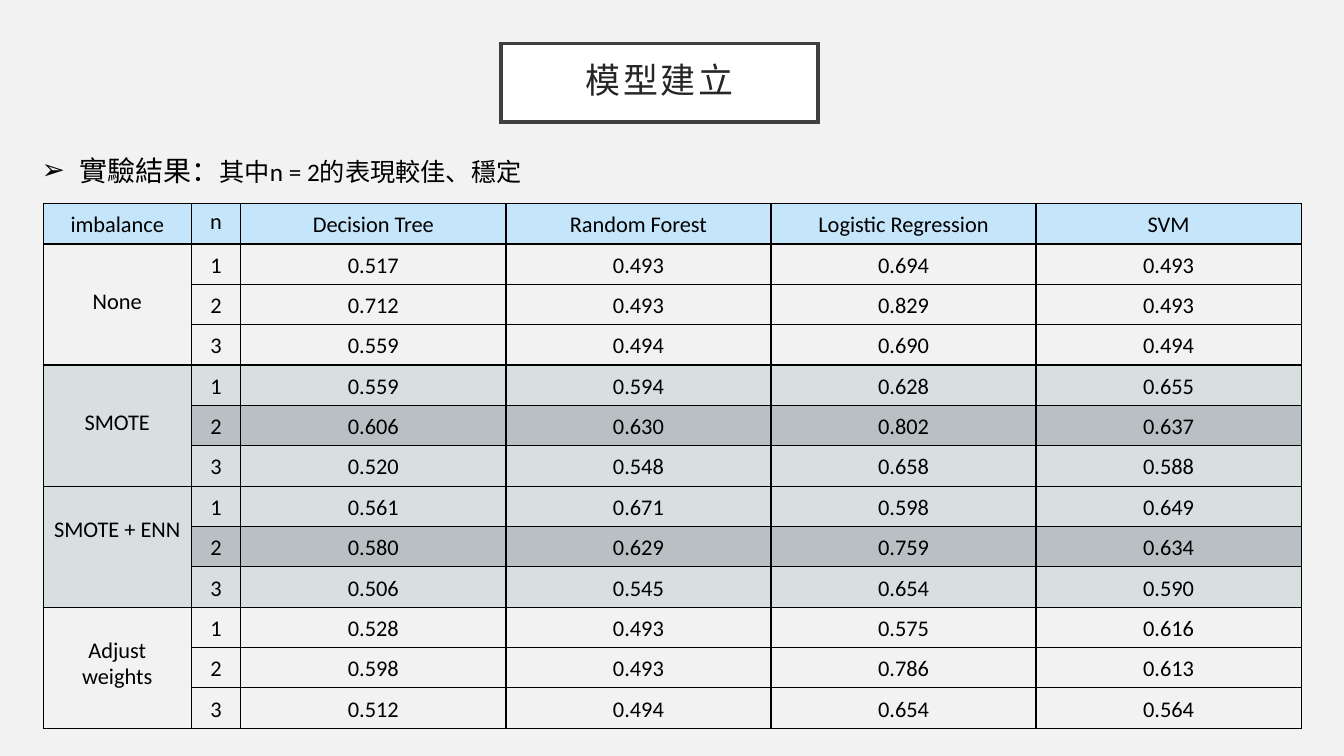
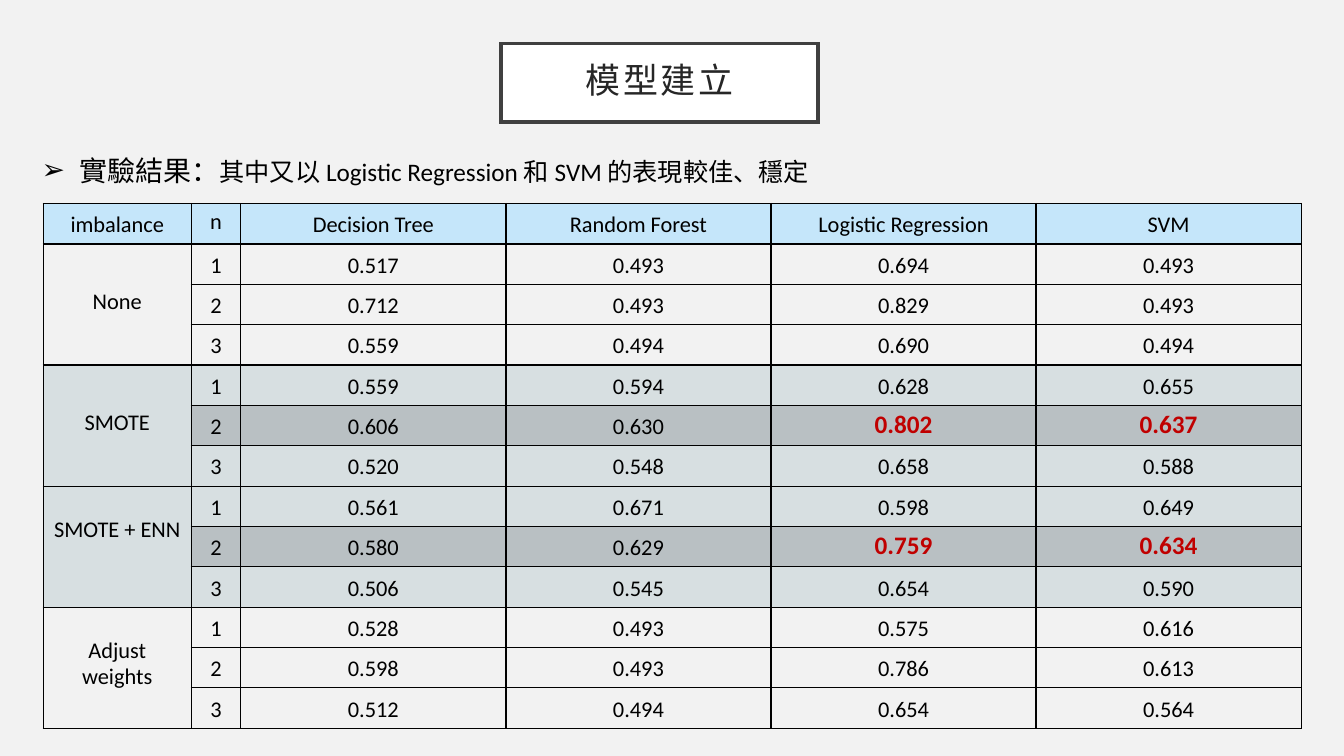
from lxml.etree import SubElement
from pptx import Presentation
from pptx.dml.color import RGBColor
from pptx.enum.text import MSO_ANCHOR, MSO_AUTO_SIZE, PP_ALIGN
from pptx.oxml.ns import qn
from pptx.util import Cm, Pt

FONT = "Calibri"
HEADS = ["imbalance", "n", "Decision Tree", "Random Forest",
         "Logistic Regression", "SVM"]
# Method, shaded or not, line height in points, scores for n = 1, 2, 3
GROUPS = [
    ("None", False, 23.6, ["0.517 0.493 0.694 0.493",
                           "0.712 0.493 0.829 0.493",
                           "0.559 0.494 0.690 0.494"]),
    ("SMOTE", True, 23.6, ["0.559 0.594 0.628 0.655",
                           "0.606 0.630 0.802 0.637",
                           "0.520 0.548 0.658 0.588"]),
    ("SMOTE + ENN", True, 18.6, ["0.561 0.671 0.598 0.649",
                                 "0.580 0.629 0.759 0.634",
                                 "0.506 0.545 0.654 0.590"]),
    ("Adjust weights", False, 18.6, ["0.528 0.493 0.575 0.616",
                                     "0.598 0.493 0.786 0.613",
                                     "0.512 0.494 0.654 0.564"]),
]
SIZE = 3  # rows in a group
BEST = 2  # the n that stands out
WIDTHS = [3.73, 1.25] + [6.68] * 4


def tint(code):
    return RGBColor.from_string(code)


def write(par, text, size=16, color="000000", bold=False, track=0):
    """Add a run to a paragraph; track is letter spacing in points."""
    run = par.add_run()
    run.text = text
    font = run.font
    font.name = FONT
    font.size = Pt(size)
    font.bold = bold
    font.color.rgb = tint(color)
    if track:
        run._r.get_or_add_rPr().set("spc", str(track * 100))


class Deck:
    back = "F2F2F2"
    white = "FFFFFF"
    frame = "404040"
    ink = "262626"
    black = "000000"
    blue = "C5E6FA"
    pale = "D7DFE1"
    gray = "B9C0C3"
    red = "C00000"

    def __init__(self):
        self.show = Presentation()
        self.show.slide_width = Cm(33.87)
        self.show.slide_height = Cm(19.05)
        fill = self.show.slide_master.background.fill
        fill.solid()
        fill.fore_color.rgb = tint(self.back)
        self.slide = None

    def start(self, text):
        """Open a new slide with a framed title."""
        self.slide = self.show.slides.add_slide(self.show.slide_layouts[5])
        box = self.slide.shapes.title
        box.left, box.top = Cm(12.62), Cm(1.09)
        box.width, box.height = Cm(8), Cm(1.98)
        box.fill.solid()
        box.fill.fore_color.rgb = tint(self.white)
        box.line.color.rgb = tint(self.frame)
        box.line.width = Pt(2.5)
        SubElement(box.line._get_or_add_ln(), qn("a:miter"), lim="800000")
        frame = box.text_frame
        frame.auto_size = MSO_AUTO_SIZE.NONE
        frame.vertical_anchor = MSO_ANCHOR.MIDDLE
        frame.margin_left = frame.margin_right = Cm(0.51)
        frame.margin_top = frame.margin_bottom = Cm(0.51)
        par = frame.paragraphs[0]
        par.alignment = PP_ALIGN.CENTER
        par.line_spacing = 0.9
        write(par, text, size=25, color=self.ink, track=2)

    def point(self, lead, text):
        """Add the arrow-bulleted line above the table."""
        box = self.slide.shapes.add_textbox(Cm(0.8), Cm(3.43),
                                            Cm(30), Cm(1.3))
        frame = box.text_frame
        frame.word_wrap = True
        par = frame.paragraphs[0]
        par.line_spacing = Pt(33)
        props = par._p.get_or_add_pPr()
        props.set("marL", str(Cm(0.95)))
        props.set("indent", str(-Cm(0.95)))
        SubElement(props, qn("a:buFont"), typeface=FONT)
        SubElement(props, qn("a:buChar"), char="➢")
        write(par, lead, size=20)
        write(par, text, size=18)

    def edge(self, cell):
        """Rule all four sides of a cell."""
        props = cell._tc.get_or_add_tcPr()
        for side in ("lnL", "lnR", "lnT", "lnB"):
            line = SubElement(props, qn(f"a:{side}"), w=str(Pt(1)))
            fill = SubElement(line, qn("a:solidFill"))
            SubElement(fill, qn("a:srgbClr"), val=self.black)

    def cell(self, cell, text, fill=None, lead=21.6, **form):
        """Fill in a cell; lead is the line height in points, or None."""
        if fill:
            cell.fill.solid()
            cell.fill.fore_color.rgb = tint(fill)
        else:
            cell.fill.background()
        par = cell.text_frame.paragraphs[0]
        par.alignment = PP_ALIGN.CENTER
        if lead:
            par.line_spacing = Pt(lead)
        write(par, text, **form)

    def grid(self, marked=()):
        """Add the score table; marked columns are red in the best rows."""
        count = 1 + SIZE * len(GROUPS)
        high = Cm(1.01)
        table = self.slide.shapes.add_table(
            count, len(HEADS), Cm(1.09), Cm(5.13),
            Cm(sum(WIDTHS)), high * count).table
        table.first_row = table.horz_banding = False
        for col, wide in zip(table.columns, WIDTHS):
            col.width = Cm(wide)
        for row in table.rows:
            row.height = high
        for cell in table.iter_cells():
            self.edge(cell)
        for col, head in enumerate(HEADS):
            self.cell(table.cell(0, col), head, fill=self.blue,
                      lead=None if head == "n" else 21.6)
        for place, (name, shade, lead, lines) in enumerate(GROUPS):
            top = 1 + place * SIZE
            label = table.cell(top, 0)
            label.merge(table.cell(top + SIZE - 1, 0))
            label.margin_top = Cm(0.13) + Pt(lead)
            self.cell(label, name, fill=self.pale if shade else None,
                      lead=lead)
            for n, line in enumerate(lines, 1):
                best = shade and n == BEST
                fill = self.gray if best else self.pale if shade else None
                for col, text in enumerate([str(n)] + line.split(), 1):
                    form = {}
                    if best and HEADS[col] in marked:
                        form = dict(size=18, color=self.red, bold=True)
                    self.cell(table.cell(top + n - 1, col), text,
                              fill=fill, **form)


def main():
    deck = Deck()
    pages = [
        ("其中n = 2的表現較佳、穩定", ()),
        ("其中又以 Logistic Regression 和 SVM 的表現較佳、穩定",
         ("Logistic Regression", "SVM")),
    ]
    for text, marked in pages:
        deck.start("模型建立")
        deck.point("實驗結果：", text)
        deck.grid(marked)
    deck.show.save("out.pptx")


if __name__ == "__main__":
    main()
